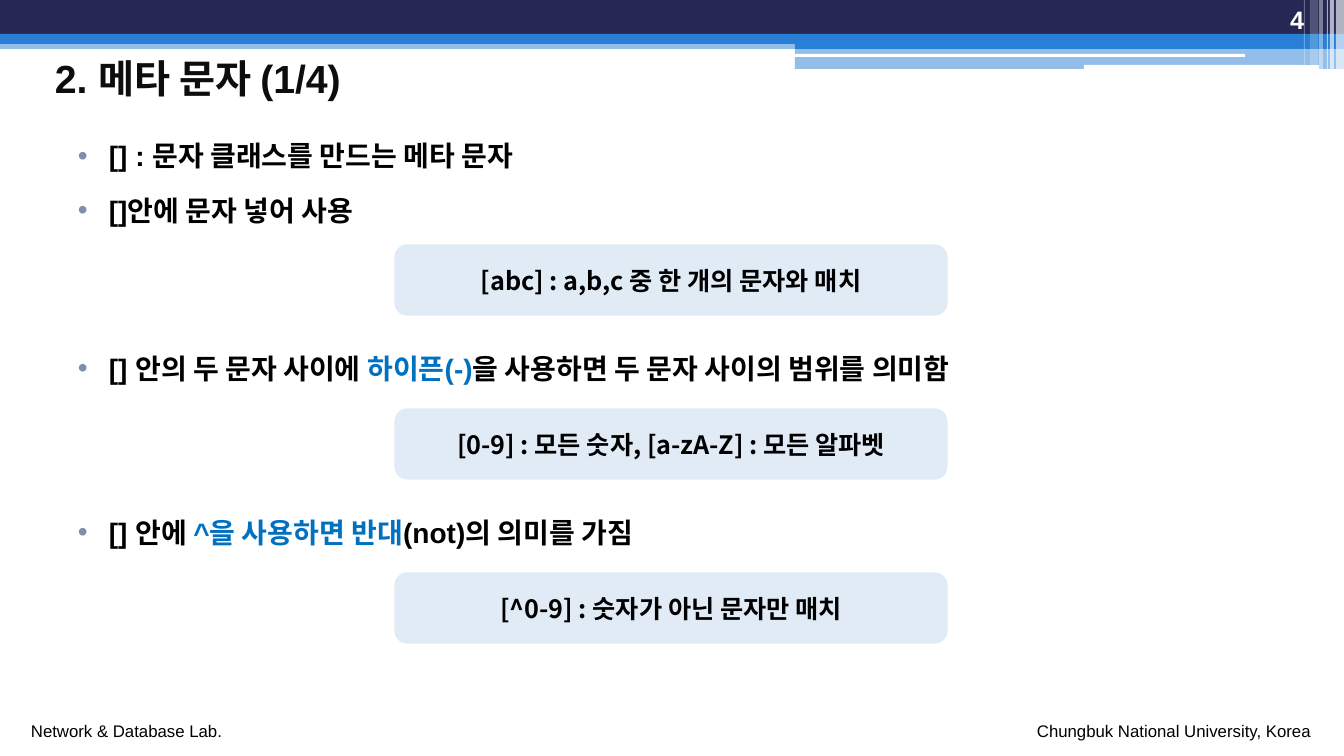
from lxml.etree import SubElement
from pptx import Presentation
from pptx.dml.color import RGBColor
from pptx.enum.shapes import MSO_SHAPE
from pptx.enum.text import MSO_ANCHOR, PP_ALIGN
from pptx.oxml.ns import qn
from pptx.util import Emu, Pt

NAVY = RGBColor(0x24, 0x28, 0x52)
BLUE = RGBColor(0x29, 0x7F, 0xD5)
ACCENT = RGBColor(0x00, 0x70, 0xC0)
PALE = RGBColor(0xE0, 0xEB, 0xF6)
BULLET = RGBColor(0x7F, 0x8F, 0xA9)
INK = RGBColor(0x0D, 0x0D, 0x0D)
BLACK = RGBColor(0x00, 0x00, 0x00)
WHITE = RGBColor(0xFF, 0xFF, 0xFF)
LATIN = "Arial"
KOREAN = "Noto Sans CJK KR"


def px(length):
    return Emu(round(length * 914400 / 100.8))


class SlideBuilder:
    def __init__(self, page):
        self.page = page

    def bar(self, left, top, width, height, color, opacity=100, kind=MSO_SHAPE.RECTANGLE):
        shape = self.page.shapes.add_shape(kind, px(left), px(top), px(width), px(height))
        shape.shadow.inherit = False
        shape.line.fill.background()
        shape.fill.solid()
        shape.fill.fore_color.rgb = color
        if opacity < 100:
            tint = shape.fill._xPr.find(qn("a:solidFill"))[0]
            SubElement(tint, qn("a:alpha"), val=str(opacity * 1000))
        return shape

    def style(self, para, size, color=BLACK, bold=True, font=LATIN, align=PP_ALIGN.LEFT):
        para.alignment = align
        para.font.size = Pt(size)
        para.font.bold = bold
        para.font.color.rgb = color
        para.font.name = font
        SubElement(para.font._rPr, qn("a:ea"), typeface=KOREAN)

    def text(self, left, top, width, height, words, size, anchor=MSO_ANCHOR.TOP, wrap=True, **look):
        box = self.page.shapes.add_textbox(px(left), px(top), px(width), px(height))
        frame = box.text_frame
        frame.word_wrap = wrap
        frame.vertical_anchor = anchor
        para = frame.paragraphs[0]
        para.add_run().text = words
        self.style(para, size, **look)

    def bullets(self, left, top, width, height, items):
        box = self.page.shapes.add_textbox(px(left), px(top), px(width), px(height))
        frame = box.text_frame
        frame.word_wrap = True
        for index, (before, spans) in enumerate(items):
            para = frame.add_paragraph() if index else frame.paragraphs[0]
            para.line_spacing = 1.5
            para.space_before = Pt(before)
            props = para._p.get_or_add_pPr()
            props.set("marL", str(px(31)))
            props.set("indent", str(-px(31)))
            tint = SubElement(props, qn("a:buClr"))
            SubElement(tint, qn("a:srgbClr"), val=str(BULLET))
            SubElement(props, qn("a:buFont"), typeface=LATIN)
            SubElement(props, qn("a:buChar"), char="•")
            self.style(para, 20)
            for words, color in spans:
                span = para.add_run()
                span.text = words
                span.font.color.rgb = color

    def example(self, left, top, width, height, words):
        shape = self.bar(left, top, width, height, PALE, kind=MSO_SHAPE.ROUNDED_RECTANGLE)
        shape.line.color.rgb = PALE
        shape.line.width = Pt(2.25)
        frame = shape.text_frame
        frame.word_wrap = True
        frame.vertical_anchor = MSO_ANCHOR.MIDDLE
        para = frame.paragraphs[0]
        para.add_run().text = words
        self.style(para, 18, font=KOREAN, align=PP_ALIGN.CENTER)


def main():
    deck = Presentation()
    deck.slide_width, deck.slide_height = px(1344), px(756)
    builder = SlideBuilder(deck.slides.add_slide(deck.slide_layouts[6]))

    # Header bands
    builder.bar(0, 40, 1344, 9, BLUE, 50)
    builder.bar(0, 0, 1344, 34, NAVY)
    builder.bar(0, 34, 1344, 10, BLUE)
    builder.bar(795, 39, 549, 10, BLUE)
    builder.bar(795, 49, 549, 20, BLUE, 50)
    for left, top, width, height in [(794, 54, 451, 3), (1084, 65, 235, 4)]:
        builder.bar(left, top, width, height, WHITE, kind=MSO_SHAPE.ROUNDED_RECTANGLE)

    # Vertical stripes at the right edge
    for left, width, height, opacity in [
        (1336, 8, 69, 65), (1330, 4, 69, 65), (1327, 1, 69, 60),
        (1319, 4, 69, 40), (1310, 8, 65, 20), (1304, 1, 65, 30),
    ]:
        builder.bar(left, 0, width, height, WHITE, opacity)

    # Footer
    builder.text(21, 716, 213, 30, "Network & Database Lab.", 12, wrap=False, bold=False)
    builder.text(1027, 716, 296, 30, "Chungbuk National University, Korea", 12,
                 wrap=False, bold=False)

    # Title and page number
    builder.text(45, 49, 1248, 58, "2. 메타 문자 (1/4)", 28, MSO_ANCHOR.MIDDLE, color=INK)
    builder.text(1202, 0, 112, 40, "4", 18, MSO_ANCHOR.BOTTOM, color=WHITE, align=PP_ALIGN.RIGHT)

    # Explanations: space before in points, then coloured spans
    builder.bullets(68, 117, 1210, 590, [
        (3, [("[] : 문자 클래스를 만드는 메타 문자", BLACK)]),
        (3, [("[]안에 문자 넣어 사용", BLACK)]),
        (77, [("[] 안의 두 문자 사이에 ", BLACK), ("하이픈(-)", ACCENT),
              ("을 사용하면 두 문자 사이의 범위를 의미함", BLACK)]),
        (81, [("[] 안에 ", BLACK), ("^을 사용하면 반대", ACCENT),
              ("(not)의 의미를 가짐", BLACK)]),
    ])

    # Example boxes
    for row, words in enumerate([
        "[abc] : a,b,c 중 한 개의 문자와 매치",
        "[0-9] : 모든 숫자, [a-zA-Z] : 모든 알파벳",
        "[^0-9] : 숫자가 아닌 문자만 매치",
    ]):
        builder.example(396, 246 + 164 * row, 550, 68, words)

    deck.save("out.pptx")


if __name__ == "__main__":
    main()
